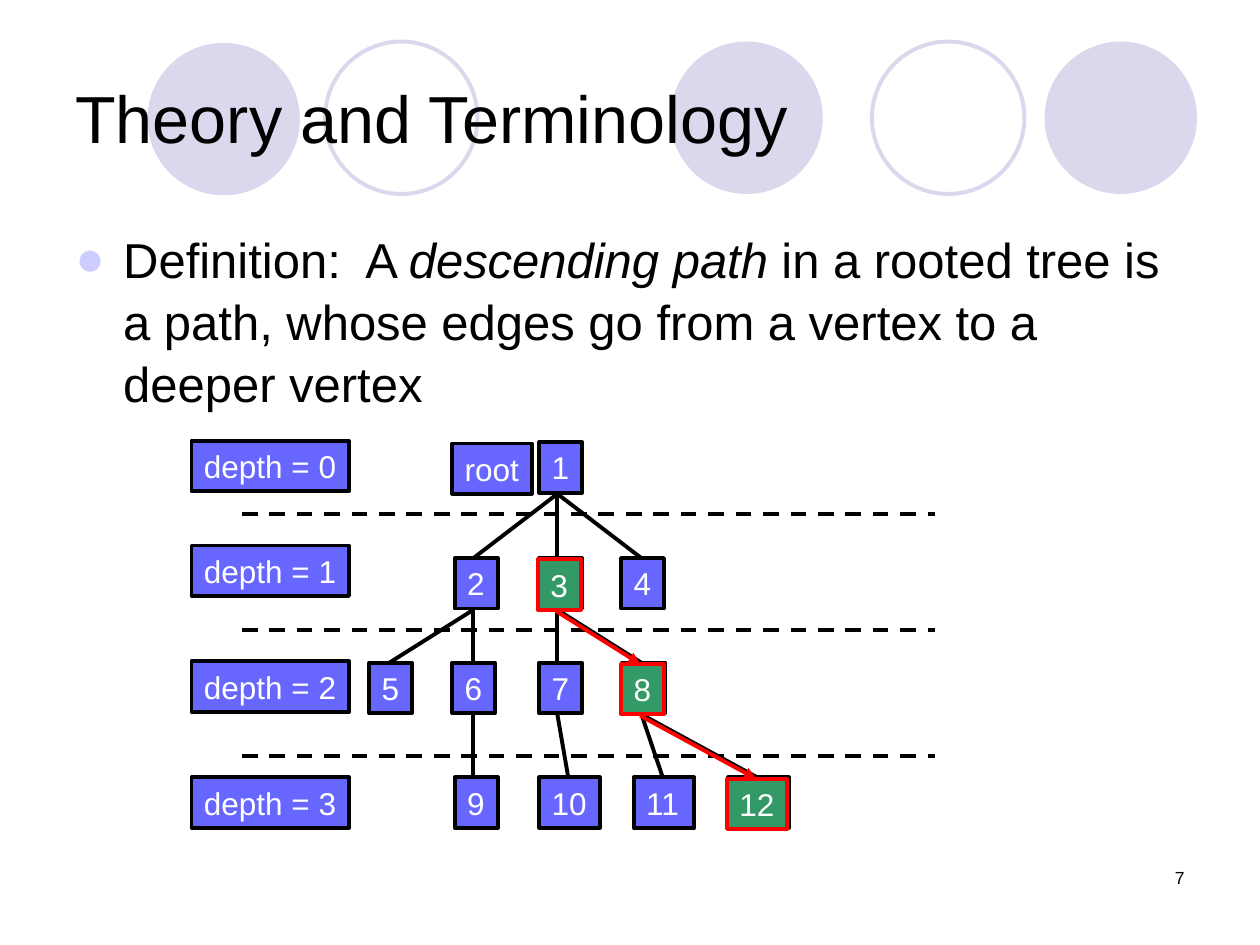
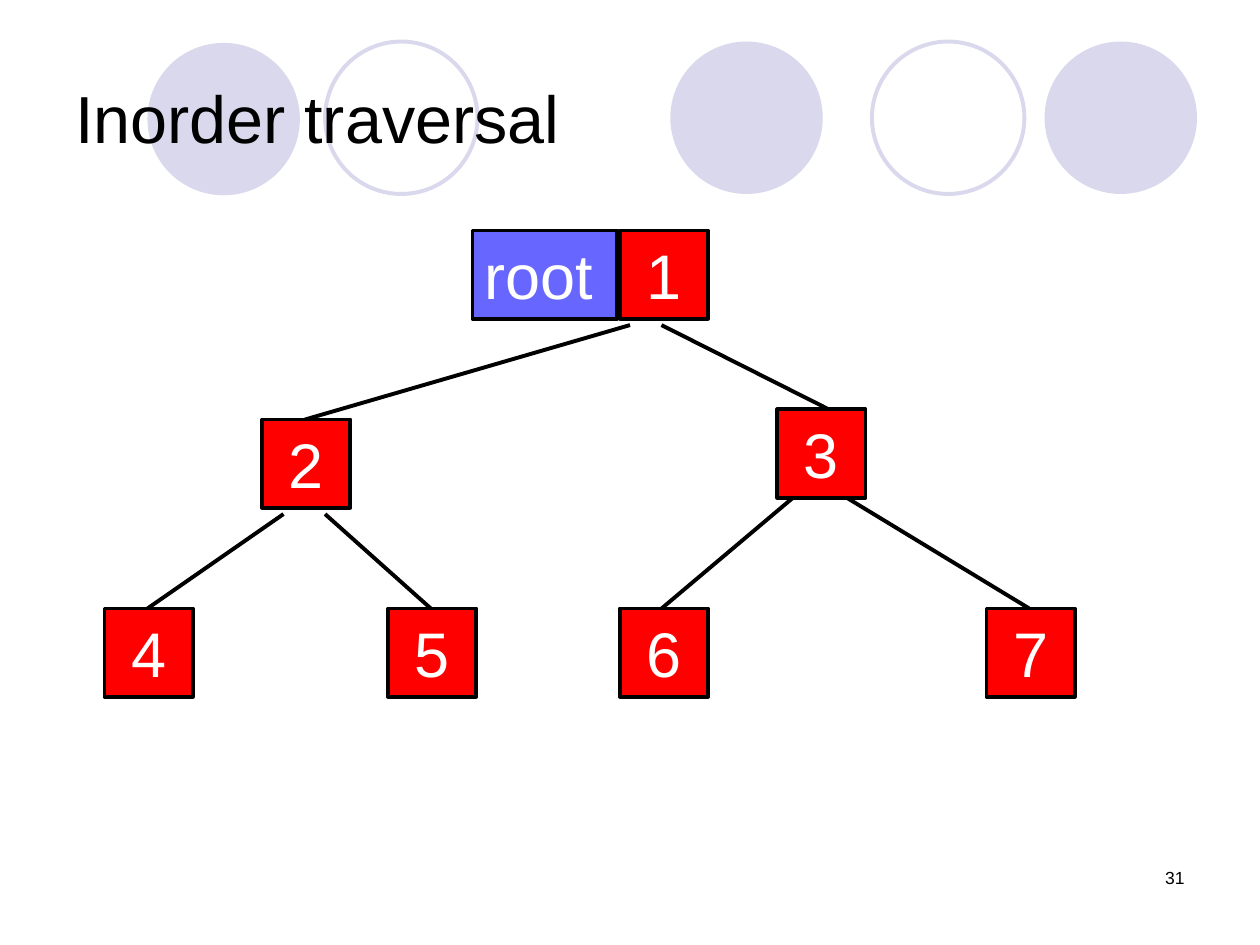
from typing import NamedTuple, Optional

from lxml import etree
from pptx import Presentation
from pptx.dml.color import RGBColor
from pptx.enum.dml import MSO_LINE
from pptx.enum.shapes import MSO_CONNECTOR, MSO_SHAPE
from pptx.enum.text import MSO_ANCHOR, MSO_AUTO_SIZE, PP_ALIGN
from pptx.oxml.ns import qn
from pptx.slide import Slide
from pptx.util import Emu, Inches, Pt

SLIDE_WIDTH, SLIDE_HEIGHT = Inches(10), Inches(7.5)
COLUMN = SLIDE_WIDTH / 100
ROW = SLIDE_HEIGHT / 75

BLACK = RGBColor(0x00, 0x00, 0x00)
WHITE = RGBColor(0xFF, 0xFF, 0xFF)
LAVENDER = RGBColor(0xD9, 0xD8, 0xEC)
BULLET_LILAC = RGBColor(0xCC, 0xCC, 0xFF)
NODE_BLUE = RGBColor(0x67, 0x67, 0xFF)
PATH_GREEN = RGBColor(0x33, 0x99, 0x66)
RED = RGBColor(0xFF, 0x00, 0x00)

FONT = "Arial"
LINE_WIDTH = Pt(2.25)
RECTANGLE, OVAL = MSO_SHAPE.RECTANGLE, MSO_SHAPE.OVAL
STRAIGHT, DASH = MSO_CONNECTOR.STRAIGHT, MSO_LINE.DASH
LEFT, CENTER, RIGHT = PP_ALIGN.LEFT, PP_ALIGN.CENTER, PP_ALIGN.RIGHT
TOP, MIDDLE = MSO_ANCHOR.TOP, MSO_ANCHOR.MIDDLE
GROW = MSO_AUTO_SIZE.SHAPE_TO_FIT_TEXT


class Area(NamedTuple):
    """Left and width in columns, top and height in rows."""
    left: float
    top: float
    width: float
    height: float


class Edge(NamedTuple):
    """A straight line between two grid points."""
    x1: float
    y1: float
    x2: float
    y2: float


class Circle(NamedTuple):
    left: float
    top: float
    filled: bool


class Vertex(NamedTuple):
    """A vertex of the rooted tree; edges meet it at column `stem`."""
    parent: str
    depth: int
    left: float
    stem: float
    width: float = 3.4


CIRCLE_SIZE = 12.1
HEADER_CIRCLES = [
    Circle(53.2, 3.3, True), Circle(82.9, 3.3, True), Circle(11.7, 3.4, True),
    Circle(69.2, 3.3, False), Circle(25.8, 3.3, False),
]
TITLE_AREA = Area(5, 3, 90, 12.5)
BODY_AREA = Area(5, 17.5, 90, 15.8)
NUMBER_AREA = Area(71.7, 68.3, 23.3, 5)

BOX_HEIGHT = 4
STEM_DROP = 4.1
VERTEX_TOPS = [35.1, 44.3, 52.6, 61.7]
DEPTH_TOPS = [35, 43.3, 52.5, 61.7]
DEPTH_DIVIDERS = [40.8, 50, 60]
LANES = [30.9 + 6.67 * lane for lane in range(4)]
TREE = {
    "1": Vertex("", 0, 42.8, LANES[2]),
    "2": Vertex("1", 1, 36.1, LANES[1]),
    "3": Vertex("1", 1, 42.8, LANES[2]),
    "4": Vertex("1", 1, 49.3, LANES[3]),
    "5": Vertex("2", 2, 29.3, LANES[0]),
    "6": Vertex("2", 2, 35.9, LANES[1]),
    "7": Vertex("3", 2, 42.8, LANES[2]),
    "8": Vertex("3", 2, 49.4, LANES[3]),
    "9": Vertex("6", 3, 36.1, LANES[1]),
    "10": Vertex("7", 3, 42.8, 45.1, 4.8),
    "11": Vertex("8", 3, 50.3, 52.6, 4.8),
    "12": Vertex("8", 3, 57.8, 60.1, 4.8),
}
DESCENDING_PATH = ["3", "8", "12"]
PATH_SHIFT = 0.1

BINARY_NODE_SIZE = 7
BINARY_NODES = {
    "4": (8.3, 48.3), "5": (30.8, 48.3), "2": (20.8, 33.3), "6": (49.2, 48.3),
    "7": (78.3, 48.3), "3": (61.7, 32.5), "1": (49.2, 18.3),
}
BINARY_EDGES = [
    Edge(52.5, 25.8, 65.8, 32.5), Edge(50, 25.8, 24.2, 33.3),
    Edge(22.5, 40.8, 11.7, 48.3), Edge(25.8, 40.8, 34.2, 48.3),
    Edge(63.3, 39.2, 52.5, 48.3), Edge(66.7, 39.2, 81.7, 48.3),
]


def columns(count: float) -> Emu:
    return Emu(round(count * COLUMN))


def rows(count: float) -> Emu:
    return Emu(round(count * ROW))


def place(area: Area) -> tuple[Emu, Emu, Emu, Emu]:
    return (columns(area.left), rows(area.top),
            columns(area.width), rows(area.height))


def style_runs(paragraph, size: float, color: RGBColor) -> None:
    for run in paragraph.runs:
        run.font.name = FONT
        run.font.size = Pt(size)
        run.font.color.rgb = color


def add_text(slide: Slide, area: Area, text: str, size: float,
             align: PP_ALIGN = LEFT, anchor: MSO_ANCHOR = TOP) -> None:
    frame = slide.shapes.add_textbox(*place(area)).text_frame
    frame.word_wrap = True
    frame.vertical_anchor = anchor
    frame.text = text
    frame.paragraphs[0].alignment = align
    style_runs(frame.paragraphs[0], size, BLACK)


def add_circle(slide: Slide, circle: Circle) -> None:
    area = Area(circle.left, circle.top, CIRCLE_SIZE, CIRCLE_SIZE)
    shape = slide.shapes.add_shape(OVAL, *place(area))
    shape.shadow.inherit = False
    if circle.filled:
        shape.fill.solid()
        shape.fill.fore_color.rgb = LAVENDER
        shape.line.fill.background()
    else:
        shape.fill.background()
        shape.line.color.rgb = LAVENDER
        shape.line.width = LINE_WIDTH


def add_box(slide: Slide, area: Area, label: str, fill: RGBColor = NODE_BLUE,
            outline: RGBColor = BLACK, size: float = 18,
            align: PP_ALIGN = LEFT, wrap: bool = False) -> None:
    box = slide.shapes.add_shape(RECTANGLE, *place(area))
    box.shadow.inherit = False
    box.fill.solid()
    box.fill.fore_color.rgb = fill
    box.line.color.rgb = outline
    box.line.width = LINE_WIDTH
    frame = box.text_frame
    frame.word_wrap = wrap
    frame.auto_size = GROW
    frame.vertical_anchor = TOP
    frame.text = label
    frame.paragraphs[0].alignment = align
    style_runs(frame.paragraphs[0], size, WHITE)


def add_edge(slide: Slide, edge: Edge, color: RGBColor = BLACK,
             dash: Optional[MSO_LINE] = None, arrow: bool = False) -> None:
    connector = slide.shapes.add_connector(
        STRAIGHT, columns(edge.x1), rows(edge.y1),
        columns(edge.x2), rows(edge.y2))
    connector.line.color.rgb = color
    connector.line.width = LINE_WIDTH
    if dash is not None:
        connector.line.dash_style = dash
    properties = connector._element.spPr
    if arrow:
        line = properties.find(qn("a:ln"))
        etree.SubElement(line, qn("a:tailEnd"), type="triangle")
    etree.SubElement(properties, qn("a:effectLst"))


def add_definition(slide: Slide) -> None:
    frame = slide.shapes.add_textbox(*place(BODY_AREA)).text_frame
    frame.word_wrap = True
    paragraph = frame.paragraphs[0]
    paragraph.line_spacing = 1.05
    properties = paragraph._p.get_or_add_pPr()
    properties.set("marL", str(columns(3.8)))
    properties.set("indent", str(-columns(3.8)))
    bullet_color = etree.SubElement(properties, qn("a:buClr"))
    etree.SubElement(bullet_color, qn("a:srgbClr"), val=str(BULLET_LILAC))
    etree.SubElement(properties, qn("a:buFont"), typeface=FONT)
    etree.SubElement(properties, qn("a:buChar"), char="●")
    for text, italic in [
        ("Definition:  A ", False),
        ("descending path", True),
        (" in a rooted tree is a path, whose edges go from a vertex"
         " to a deeper vertex", False),
    ]:
        run = paragraph.add_run()
        run.text = text
        run.font.italic = italic
    style_runs(paragraph, 28, BLACK)


def vertex_area(vertex: Vertex, shift: float = 0) -> Area:
    return Area(vertex.left - shift, VERTEX_TOPS[vertex.depth] + shift,
                vertex.width, BOX_HEIGHT)


def edge_to(vertex: Vertex, shift: float = 0) -> Edge:
    """The edge that comes down from the parent of the vertex."""
    parent = TREE[vertex.parent]
    return Edge(parent.stem - shift,
                VERTEX_TOPS[parent.depth] + STEM_DROP + shift,
                vertex.stem - shift, VERTEX_TOPS[vertex.depth] + shift)


def add_framed_slide(deck, title: str, number: int) -> Slide:
    """Add a slide with the header circles, its title and its number."""
    slide = deck.slides.add_slide(deck.slide_layouts[6])
    for circle in HEADER_CIRCLES:
        add_circle(slide, circle)
    add_text(slide, TITLE_AREA, title, 38, anchor=MIDDLE)
    add_text(slide, NUMBER_AREA, str(number), 10, align=RIGHT)
    return slide


def build_terminology(deck) -> None:
    slide = add_framed_slide(deck, "Theory and Terminology", 7)
    add_definition(slide)
    for label, vertex in TREE.items():
        add_box(slide, vertex_area(vertex), label)
    for vertex in TREE.values():
        if vertex.parent:
            add_edge(slide, edge_to(vertex))
    add_box(slide, Area(35.9, 35.2, 6.3, BOX_HEIGHT), "root")
    for y in DEPTH_DIVIDERS:
        add_edge(slide, Edge(19.2, y, 74.2, y), dash=DASH)
    for depth, top in enumerate(DEPTH_TOPS):
        add_box(slide, Area(15.2, top, 12.5, BOX_HEIGHT), f"depth = {depth}")
    for label in DESCENDING_PATH:
        add_box(slide, vertex_area(TREE[label], PATH_SHIFT), label,
                PATH_GREEN, RED)
    for label in DESCENDING_PATH[1:]:
        add_edge(slide, edge_to(TREE[label], PATH_SHIFT), RED, arrow=True)


def build_inorder(deck) -> None:
    slide = add_framed_slide(deck, "Inorder traversal", 31)
    for edge in BINARY_EDGES:
        add_edge(slide, edge)
    add_box(slide, Area(37.5, 18.3, 11.5, BINARY_NODE_SIZE), "root",
            size=36, wrap=True)
    for label, (left, top) in BINARY_NODES.items():
        area = Area(left, top, BINARY_NODE_SIZE, BINARY_NODE_SIZE)
        add_box(slide, area, label, RED, size=36, align=CENTER, wrap=True)


def main() -> None:
    deck = Presentation()
    deck.slide_width, deck.slide_height = SLIDE_WIDTH, SLIDE_HEIGHT
    build_terminology(deck)
    build_inorder(deck)
    deck.save("out.pptx")


if __name__ == "__main__":
    main()
